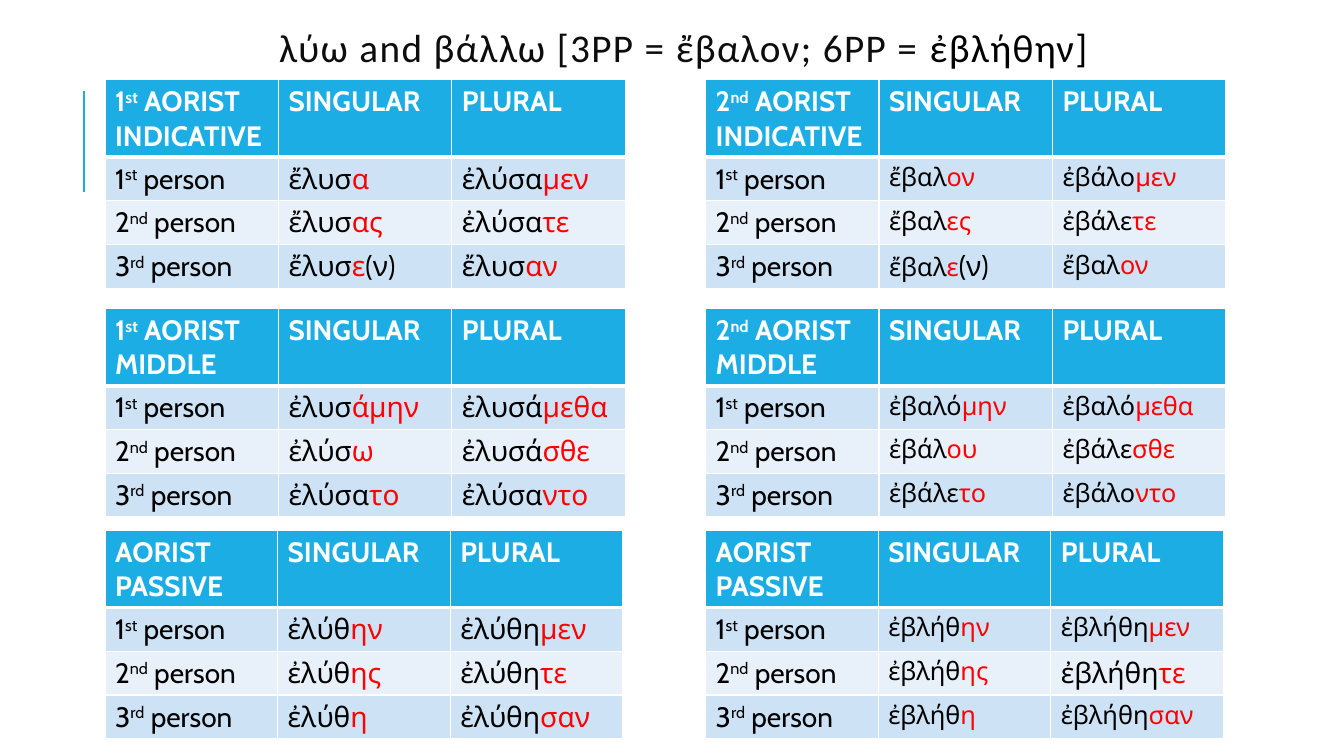
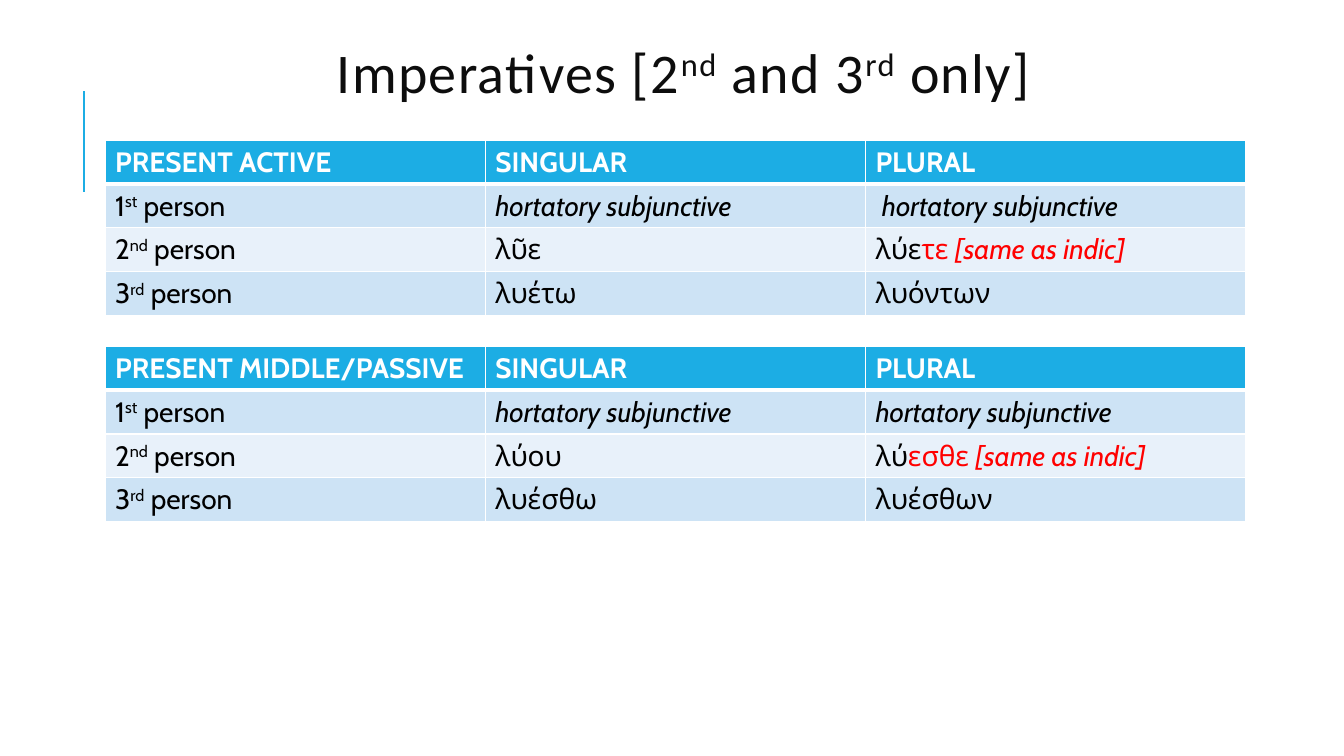
"""Build two slides of Greek verb paradigms: aorist tables and present imperatives."""
from lxml import etree
from pptx import Presentation
from pptx.dml.color import RGBColor
from pptx.enum import shapes, text
from pptx.oxml import ns
from pptx.util import Pt

PERSONS = ["1^st^ person", "2^nd^ person", "3^rd^ person"]
NUMBERS = ["SINGULAR", "PLURAL"]

AORISTS = [
    [
        ("1^st^ AORIST INDICATIVE",
         [("ἔλυσ~α~", "ἐλύσα~μεν~"), ("ἔλυσ~ας~", "ἐλύσα~τε~"), ("ἔλυσ~ε~(ν)", "ἔλυσ~αν~")]),
        ("1^st^ AORIST MIDDLE",
         [("ἐλυσ~άμην~", "ἐλυσά~μεθα~"), ("ἐλύσ~ω~", "ἐλυσά~σθε~"), ("ἐλύσα~το~", "ἐλύσα~ντο~")]),
        ("AORIST PASSIVE",
         [("ἐλύθ~ην~", "ἐλύθη~μεν~"), ("ἐλύθ~ης~", "ἐλύθη~τε~"), ("ἐλύθ~η~", "ἐλύθη~σαν~")]),
    ],
    [
        ("2^nd^ AORIST INDICATIVE",
         [("ἔβαλ~ον~", "ἐβάλο~μεν~"), ("ἔβαλ~ες~", "ἐβάλε~τε~"), ("ἔβαλ~ε~+(ν)+", "ἔβαλ~ον~")]),
        ("2^nd^ AORIST MIDDLE",
         [("ἐβαλό~μην~", "ἐβαλό~μεθα~"), ("ἐβάλ~ου~", "ἐβάλε~σθε~"), ("ἐβάλε~το~", "ἐβάλο~ντο~")]),
        ("AORIST PASSIVE",
         [("ἐβλήθ~ην~", "ἐβλήθη~μεν~"), ("ἐβλήθ~ης~", "+ἐβλήθη~τε~+"), ("ἐβλήθ~η~", "ἐβλήθη~σαν~")]),
    ],
]
IMPERATIVES = [
    ("PRESENT ACTIVE",
     [("_hortatory subjunctive_", " _hortatory subjunctive_"),
      ("λῦε", "λύε~τε _[same as indic]_~"), ("λυέτω", "λυόντων")]),
    ("PRESENT MIDDLE/PASSIVE",
     [("_hortatory subjunctive_", "_hortatory subjunctive_"),
      ("λύου", "λύ~εσθε _[same as indic]_~"), ("λυέσθω", "λυέσθων")]),
]
AORIST_TITLE = "λύω and βάλλω [3PP = ἔβαλον; 6PP = #ἐβλήθην]#"
IMPERATIVE_TITLE = "Imperatives [2^nd^ and 3^rd^ only]"


class Theme:
    """Colours, fonts and type sizes."""
    accent, white, black, ending, title_ink = (
        RGBColor.from_string(code) for code in ("1CADE4", "FFFFFF", "000000", "FF0000", "0D0D0D"))
    bands = [RGBColor.from_string(code) for code in ("CDE3F5", "E8F1FA")]
    body_font, title_font = "Cabin", "Calibri"
    body, small = Pt(20), Pt(18)


MARKS = {
    "~": {"color": Theme.ending},
    "#": {"color": Theme.black},
    "_": {"italic": True},
    "+": {"size": Theme.body},
    "^": {"baseline": "30000"},
}
LEFT, ROW = 75, 29.2
AORIST_LEFTS, AORIST_TOPS, AORIST_COLUMNS = (LEFT, 504), (57, 220.3, 378.7), (123.9, 123.9, 123.3)
IMPERATIVE_TOPS, IMPERATIVE_COLUMN = (100.2, 247.5), 271.6


def split_marks(marked):
    """Yield each stretch of text with the marks that are open around it."""
    open_marks, stretch = [], ""
    for letter in marked:
        if letter not in MARKS:
            stretch += letter
            continue
        if stretch:
            yield stretch, list(open_marks)
        stretch = ""
        if letter in open_marks:
            open_marks.remove(letter)
        else:
            open_marks.append(letter)
    if stretch:
        yield stretch, open_marks


def write(paragraph, marked, **base):
    """Write marked text as formatted runs."""
    for stretch, marks in split_marks(marked):
        run = paragraph.add_run()
        run.text = stretch
        look = dict(base)
        for mark in marks:
            look.update(MARKS[mark])
        run.font.color.rgb = look.pop("color")
        for key in ("baseline", "spc"):
            if key in look:
                run.font._element.set(key, look.pop(key))
        for key, setting in look.items():
            setattr(run.font, key, setting)


def add_borders(cell, row):
    """Rule a cell in white, with a heavy line under the heading row."""
    widths = {"lnL": 1, "lnR": 1, "lnT": 3 if row == 1 else 1, "lnB": 3 if row == 0 else 1}
    properties = cell._tc.get_or_add_tcPr()
    for place, (side, width) in enumerate(widths.items()):
        border = etree.Element(ns.qn("a:" + side), w=str(Pt(width)))
        fill = etree.SubElement(border, ns.qn("a:solidFill"))
        etree.SubElement(fill, ns.qn("a:srgbClr"), val=str(Theme.white))
        properties.insert(place, border)


def add_paradigm(slide, paradigm, left, top, column_width, form_size=Theme.body):
    """Add one table of verb forms by person and number."""
    heading, forms = paradigm
    rows = [[heading, *NUMBERS]] + [[person, *pair] for person, pair in zip(PERSONS, forms)]
    table = slide.shapes.add_table(len(rows), len(rows[0]), Pt(left), Pt(top),
                                   Pt(column_width * len(rows[0])), Pt(ROW * len(rows))).table
    for column in table.columns:
        column.width = Pt(column_width)
    for r, row in enumerate(rows):
        for c, marked in enumerate(row):
            cell = table.cell(r, c)
            cell.fill.solid()
            cell.fill.fore_color.rgb = Theme.bands[(r - 1) % 2] if r else Theme.accent
            add_borders(cell, r)
            write(cell.text_frame.paragraphs[0], marked, name=Theme.body_font, bold=r == 0,
                  size=form_size if r and c else Theme.body,
                  color=Theme.black if r else Theme.white)


def add_slide(deck, title, top, height, size):
    """Add a slide with the accent rule and a centred title."""
    slide = deck.slides.add_slide(deck.slide_layouts[6])
    rule = slide.shapes.add_connector(shapes.MSO_CONNECTOR.STRAIGHT, Pt(60), Pt(136.8), Pt(60), Pt(64.8))
    rule.line.color.rgb = Theme.accent
    rule.line.width = Pt(1.5)
    etree.SubElement(rule._element.spPr, ns.qn("a:effectLst"))
    frame = slide.shapes.add_textbox(Pt(80.6), Pt(top), Pt(815), Pt(height)).text_frame
    frame.word_wrap = True
    frame.vertical_anchor = text.MSO_ANCHOR.MIDDLE
    paragraph = frame.paragraphs[0]
    paragraph.alignment = text.PP_ALIGN.CENTER
    paragraph.line_spacing = 0.8
    write(paragraph, title, name=Theme.title_font, size=Pt(size), color=Theme.title_ink, spc="100")
    return slide


def main():
    """Build and save the deck."""
    deck = Presentation()
    deck.slide_width, deck.slide_height = Pt(960), Pt(540)

    aorist = add_slide(deck, AORIST_TITLE, 15.8, 41, 28)
    for left, paradigms, form_size in zip(AORIST_LEFTS, AORISTS, (Theme.body, Theme.small)):
        for paradigm, top, column_width in zip(paradigms, AORIST_TOPS, AORIST_COLUMNS):
            add_paradigm(aorist, paradigm, left, top, column_width, form_size)

    imperative = add_slide(deck, IMPERATIVE_TITLE, 31.7, 47.5, 40)
    for paradigm, top in zip(IMPERATIVES, IMPERATIVE_TOPS):
        add_paradigm(imperative, paradigm, LEFT, top, IMPERATIVE_COLUMN)

    deck.save("out.pptx")


if __name__ == "__main__":
    main()
